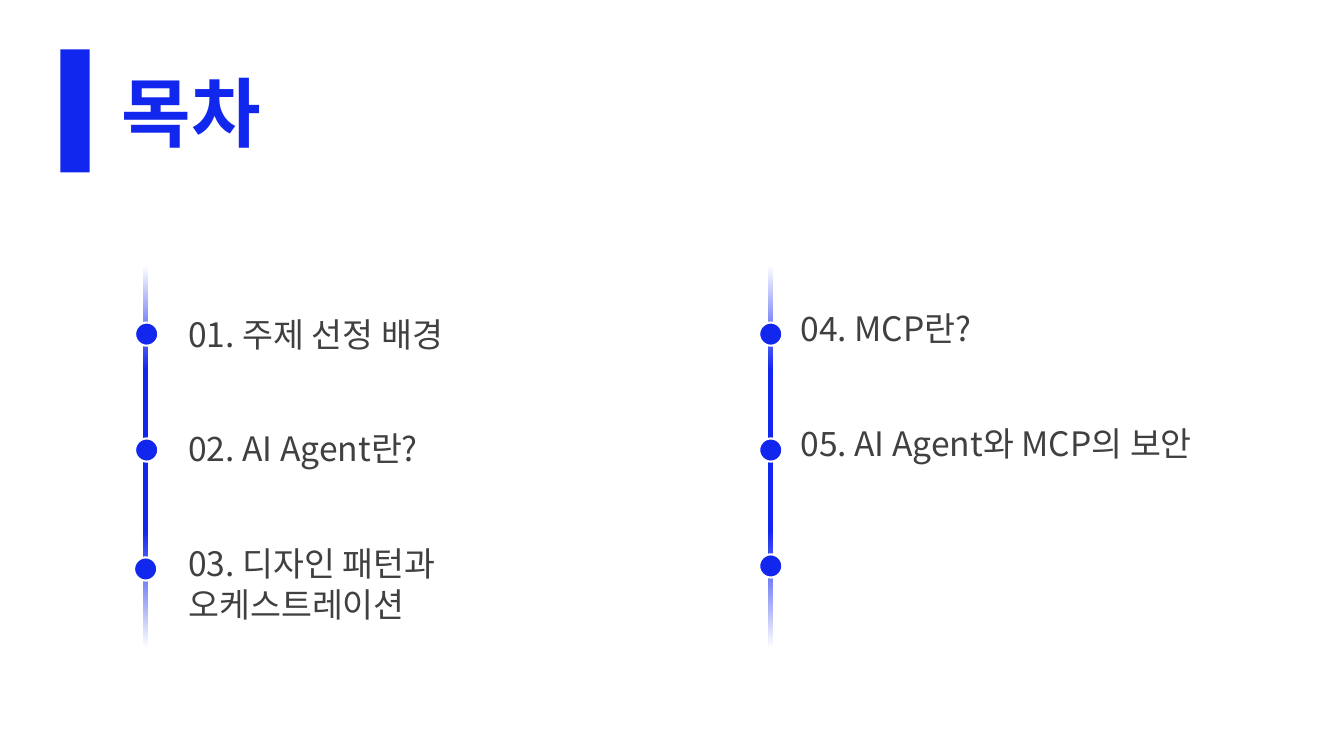
from lxml import etree
from pptx import Presentation
from pptx.dml.color import RGBColor
from pptx.enum.shapes import MSO_SHAPE
from pptx.enum.text import MSO_ANCHOR, MSO_AUTO_SIZE, PP_ALIGN
from pptx.oxml.ns import qn
from pptx.util import Inches, Pt

RECTANGLE, OVAL = MSO_SHAPE.RECTANGLE, MSO_SHAPE.OVAL
TOP, MIDDLE = MSO_ANCHOR.TOP, MSO_ANCHOR.MIDDLE
LEFT = PP_ALIGN.LEFT
NO_AUTOFIT = MSO_AUTO_SIZE.NONE
TITLE_ONLY = 5

BLUE, GREY, WHITE = "1227EE", "404040", "FFFFFF"
FADE_STOPS = [(5, WHITE), (31, BLUE), (71, BLUE), (100, WHITE)]


def color(hex_string):
    return RGBColor.from_string(hex_string)


class AgendaSlide:
    font_name = "Noto Sans CJK KR"
    dot_size = 0.23

    def __init__(self, presentation):
        self.slide = presentation.slides.add_slide(presentation.slide_layouts[TITLE_ONLY])
        self.shapes = self.slide.shapes

    def add_text(self, frame, text, size, hex_string, bold=False):
        paragraph = frame.paragraphs[0]
        paragraph.alignment = LEFT
        run = paragraph.add_run()
        run.text = text
        run.font.size = Pt(size)
        run.font.bold = bold
        run.font.color.rgb = color(hex_string)
        run.font.name = self.font_name
        east_asian = etree.SubElement(run._r.get_or_add_rPr(), qn("a:ea"))
        east_asian.set("typeface", self.font_name)
        return paragraph

    def title(self, text, left, top, width, height):
        heading = self.shapes.title
        heading.left, heading.top = Inches(left), Inches(top)
        heading.width, heading.height = Inches(width), Inches(height)
        frame = heading.text_frame
        frame.auto_size = NO_AUTOFIT
        frame.vertical_anchor = MIDDLE
        self.add_text(frame, text, 54, BLUE, bold=True).line_spacing = 0.9

    def entry(self, text, left, top, width, height):
        box = self.shapes.add_textbox(Inches(left), Inches(top), Inches(width), Inches(height))
        frame = box.text_frame
        frame.word_wrap = False
        frame.vertical_anchor = TOP
        frame.margin_top = frame.margin_bottom = 0
        self.add_text(frame, text, 24, GREY)

    def block(self, kind, left, top, width, height):
        shape = self.shapes.add_shape(kind, Inches(left), Inches(top), Inches(width), Inches(height))
        shape.shadow.inherit = False
        shape.fill.solid()
        shape.fill.fore_color.rgb = color(BLUE)
        shape.line.fill.background()
        return shape

    def fading_rail(self, left, top, width, height):
        rail = self.block(RECTANGLE, left, top, width, height)
        rail.fill.gradient()
        rail.fill.gradient_angle = 270
        stop_list = rail._element.spPr.find(qn("a:gradFill")).find(qn("a:gsLst"))
        for default_stop in list(stop_list):
            stop_list.remove(default_stop)
        for percent, hex_string in FADE_STOPS:
            stop = etree.SubElement(stop_list, qn("a:gs"), pos=str(percent * 1000))
            etree.SubElement(stop, qn("a:srgbClr"), val=hex_string)

    def dot(self, left, top):
        marker = self.block(OVAL, left, top, self.dot_size, self.dot_size)
        marker.line.color.rgb = color(WHITE)
        marker.line.width = Pt(1.5)


def main():
    presentation = Presentation()
    presentation.slide_width, presentation.slide_height = Inches(13.33), Inches(7.5)
    agenda = AgendaSlide(presentation)

    agenda.title("목차", 1.11, 0.64, 2.52, 1.05)
    agenda.block(RECTANGLE, 0.6, 0.49, 0.29, 1.22)

    entries = [
        ("01. 주제 선정 배경", 1.77, 3.11, 5.2, 0.46),
        ("02. AI Agent란?", 1.77, 4.24, 3.8, 0.52),
        ("03. 디자인 패턴과 오케스트레이션", 1.77, 5.39, 4.14, 0.48),
        ("04. MCP란?", 7.84, 3.05, 4.86, 0.52),
        ("05. AI Agent와 MCP의 보안", 7.84, 4.2, 4.69, 0.46),
    ]
    for entry in entries:
        agenda.entry(*entry)

    timelines = [
        (1.42, [(1.34, 3.2), (1.34, 4.35), (1.33, 5.53)]),
        (7.62, [(7.53, 3.2), (7.53, 4.35), (7.53, 5.5)]),
    ]
    for rail_left, dots in timelines:
        agenda.fading_rail(rail_left, 2.43, 0.05, 4)
        for dot_left, dot_top in dots:
            agenda.dot(dot_left, dot_top)

    presentation.save("out.pptx")


if __name__ == "__main__":
    main()
